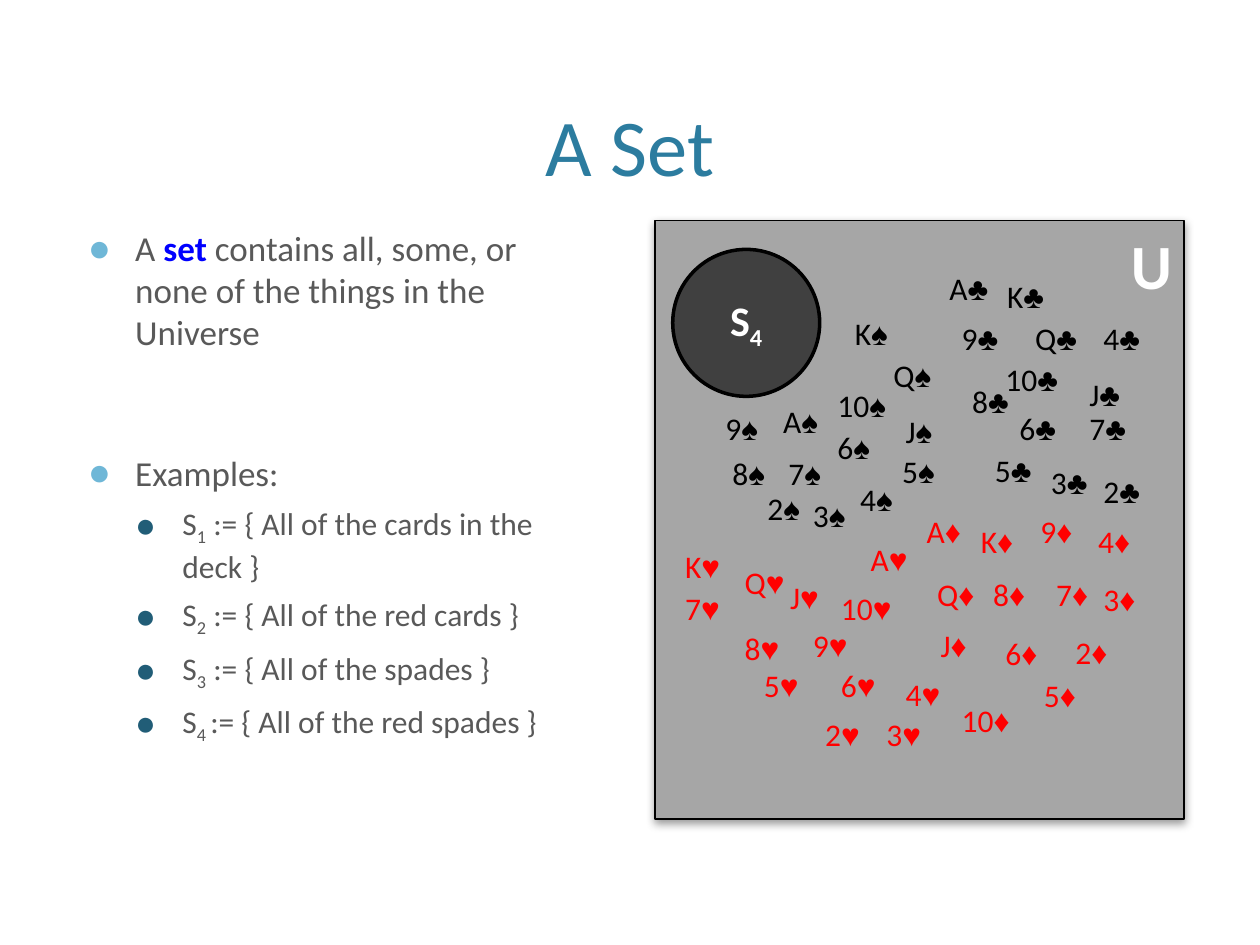
from dataclasses import dataclass

from lxml.etree import SubElement
from pptx import Presentation
from pptx.dml.color import RGBColor
from pptx.enum.shapes import MSO_SHAPE
from pptx.enum.text import MSO_ANCHOR, MSO_AUTO_SIZE, PP_ALIGN
from pptx.oxml.ns import qn
from pptx.util import Pt


@dataclass(frozen=True)
class Theme:
    font: str = "Calibri"
    suit_font: str = "Arial"
    title: str = "2C7C9F"
    text: str = "595959"
    keyword: str = "0000FF"
    bullet: str = "6FB7D7"
    sub_bullet: str = "215D77"
    universe: str = "A6A6A6"
    circle: str = "404040"
    black: str = "000000"
    red: str = "FF0000"
    white: str = "FFFFFF"
    title_size: int = 46
    universe_size: int = 36
    circle_size: int = 24
    text_size: int = 20
    small_size: int = 18


THEME = Theme()

EXAMPLES = [
    ("1", " := { All of the cards in the deck }"),
    ("2", " := { All of the red cards }"),
    ("3", " := { All of the spades }"),
    ("4 ", ":= { All of the red spades }"),
]

RANKS = ["K", "A", "Q", "J", "10", "9", "8", "7", "6", "5", "4", "3", "2"]
CARD_WIDTHS = {"K": 40.3, "Q": 41.8, "J": 37.4, "10": 51.1}
CARD_WIDTH, CARD_HEIGHT = 39.6, 28.8

SUITS = [
    ("♠", THEME.black, True, [
        (107, 50), (66, 100), (129, 74), (136, 106), (97, 91), (33, 104), (37, 130),
        (69, 130), (97, 115), (134, 129), (110, 145), (83, 154), (57, 150)]),
    ("♣", THEME.black, True, [
        (194, 29), (161, 24), (210, 53), (241, 85), (193, 76), (168, 53), (174, 89),
        (241, 104), (201, 104), (187, 128), (249, 53), (219, 135), (249, 140)]),
    ("♥", THEME.red, True, [
        (10, 183), (116, 179), (44, 192), (70, 201), (99, 207), (83, 228), (44, 230),
        (10, 207), (99, 251), (55, 251), (136, 256), (125, 279), (90, 279)]),
    ("♦", THEME.red, False, [
        (179, 169), (148, 163), (154, 199), (156, 228), (168, 271), (213, 163), (186, 199),
        (222, 199), (193, 233), (215, 257), (246, 169), (249, 202), (233, 232)]),
]


def add_run(paragraph, text, *, size, color, font=THEME.font, bold=False, subscript=False):
    run = paragraph.add_run()
    run.text = text
    run.font.name = font
    run.font.size = Pt(size)
    run.font.bold = bold
    run.font.color.rgb = RGBColor.from_string(color)
    if subscript:
        run._r.get_or_add_rPr().set("baseline", "-25000")


def add_text_box(slide, box, *, wrap=True, anchor=MSO_ANCHOR.TOP):
    frame = slide.shapes.add_textbox(*map(Pt, box)).text_frame
    frame.word_wrap = wrap
    frame.vertical_anchor = anchor
    return frame


def add_outlined_shape(slide, kind, box, *, fill, line_width, anchor, align):
    shape = slide.shapes.add_shape(kind, *map(Pt, box))
    shape.shadow.inherit = False
    shape.fill.solid()
    shape.fill.fore_color.rgb = RGBColor.from_string(fill)
    shape.line.color.rgb = RGBColor.from_string(THEME.black)
    shape.line.width = Pt(line_width)
    shape.text_frame.vertical_anchor = anchor
    shape.text_frame.paragraphs[0].alignment = align
    return shape


def add_shadow(shape):
    effects = shape._element.spPr.find(qn("a:effectLst"))
    shadow = SubElement(effects, qn("a:outerShdw"), blurRad=str(Pt(5)), dist=str(Pt(2)),
                        dir="5400000", algn="ctr", rotWithShape="0")
    color = SubElement(shadow, qn("a:srgbClr"), val=THEME.black)
    SubElement(color, qn("a:alpha"), val="40000")


def format_bullet(paragraph, *, level, color, left, hanging, before):
    paragraph.level = level
    paragraph.space_before = Pt(before)
    properties = paragraph._p.get_or_add_pPr()
    properties.set("marL", str(Pt(left)))
    properties.set("indent", str(-Pt(hanging)))
    SubElement(SubElement(properties, qn("a:buClr")), qn("a:srgbClr"), val=color)
    SubElement(properties, qn("a:buSzPct"), val="110000")
    SubElement(properties, qn("a:buFont"), typeface=THEME.suit_font)
    SubElement(properties, qn("a:buChar"), char="●")


def add_title(slide, box):
    paragraph = add_text_box(slide, box, anchor=MSO_ANCHOR.BOTTOM).paragraphs[0]
    paragraph.alignment = PP_ALIGN.CENTER
    add_run(paragraph, "A Set", size=THEME.title_size, color=THEME.title)


def add_definition(slide, box):
    frame = add_text_box(slide, box)
    main_text = {"size": THEME.text_size, "color": THEME.text}
    main_bullet = {"level": 0, "color": THEME.bullet, "left": 27, "hanging": 27}

    definition = frame.paragraphs[0]
    format_bullet(definition, before=16, **main_bullet)
    add_run(definition, "A ", **main_text)
    add_run(definition, "set", size=THEME.text_size, color=THEME.keyword, bold=True)
    add_run(definition, " contains all, some, or none of the things in the Universe", **main_text)

    heading = frame.add_paragraph()
    format_bullet(heading, before=56.4, **main_bullet)
    add_run(heading, "Examples:", **main_text)

    example_text = {"size": THEME.small_size, "color": THEME.text}
    for index, contents in EXAMPLES:
        example = frame.add_paragraph()
        format_bullet(example, level=1, color=THEME.sub_bullet, left=54, hanging=27, before=6)
        add_run(example, "S", **example_text)
        add_run(example, index, subscript=True, **example_text)
        add_run(example, contents, **example_text)


def add_card(slide, box, rank, suit, color, bold):
    frame = add_text_box(slide, box, wrap=False)
    frame.auto_size = MSO_AUTO_SIZE.SHAPE_TO_FIT_TEXT
    paragraph = frame.paragraphs[0]
    add_run(paragraph, rank, size=THEME.small_size, color=color)
    add_run(paragraph, suit, size=THEME.small_size, color=color, font=THEME.suit_font, bold=bold)


def add_universe(slide, box):
    left, top = box[:2]
    universe = add_outlined_shape(slide, MSO_SHAPE.RECTANGLE, box, fill=THEME.universe,
                                  line_width=1, anchor=MSO_ANCHOR.TOP, align=PP_ALIGN.RIGHT)
    add_shadow(universe)
    add_run(universe.text_frame.paragraphs[0], "U",
            size=THEME.universe_size, color=THEME.white, bold=True)

    empty_set = add_outlined_shape(slide, MSO_SHAPE.OVAL, (left + 10, top + 16.5, 84, 84),
                                   fill=THEME.circle, line_width=2,
                                   anchor=MSO_ANCHOR.MIDDLE, align=PP_ALIGN.CENTER)
    label = empty_set.text_frame.paragraphs[0]
    label_text = {"size": THEME.circle_size, "color": THEME.white, "bold": True}
    add_run(label, "S", **label_text)
    add_run(label, "4", subscript=True, **label_text)

    for suit, color, bold, positions in SUITS:
        for rank, (x, y) in zip(RANKS, positions):
            card_box = (left + x, top + y, CARD_WIDTHS.get(rank, CARD_WIDTH), CARD_HEIGHT)
            add_card(slide, card_box, rank, suit, color, bold)


def main():
    presentation = Presentation()
    presentation.slide_width = Pt(720)
    presentation.slide_height = Pt(540)
    slide = presentation.slides.add_slide(presentation.slide_layouts[6])
    add_title(slide, (43.2, 8.6, 633.6, 105.1))
    add_definition(slide, (43.2, 126, 302.4, 342))
    add_universe(slide, (374.4, 126, 302.4, 342))
    presentation.save("out.pptx")


if __name__ == "__main__":
    main()
